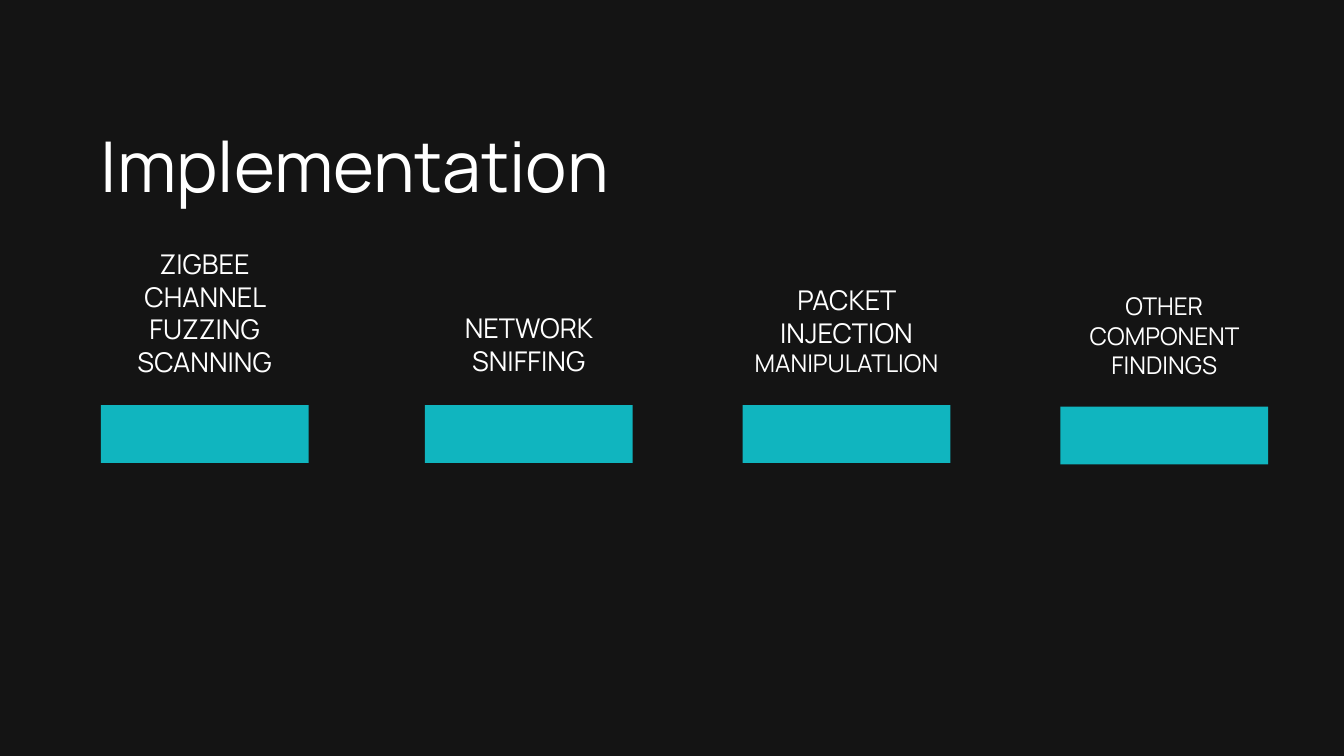
from dataclasses import dataclass

from pptx import Presentation
from pptx.dml.color import RGBColor
from pptx.enum.shapes import MSO_SHAPE
from pptx.enum.text import PP_ALIGN
from pptx.util import Pt


@dataclass(frozen=True)
class Theme:
    background: RGBColor = RGBColor(0x14, 0x14, 0x14)
    text: RGBColor = RGBColor(0xFF, 0xFF, 0xFF)
    accent: RGBColor = RGBColor(0x10, 0xB5, 0xBF)
    font: str = "Manrope"
    title_size: float = 75
    label_size: float = 29.1
    small_size: float = 26.1


THEME = Theme()
LINE_SPACING = {THEME.title_size: 90, THEME.label_size: 34.9, THEME.small_size: 31.3}

COLUMN_WIDTH = 222.6
BAR_HEIGHT = 61.8

# Each step: left, label top, label height, bar top, lines of (text, size)
STEPS = [
    (108, 265.1, 137.5, 434.1,
     [("ZIGBEE CHANNEL FUZZING", THEME.label_size), ("SCANNING", THEME.label_size)]),
    (455.2, 334.1, 68.4, 434.1, [("NETWORK SNIFFING", THEME.label_size)]),
    (795.7, 303.6, 99.4, 434.1,
     [("PACKET INJECTION", THEME.label_size), ("MANIPULATLION", THEME.small_size)]),
    (1136.2, 312.3, 92.2, 435.7, [("OTHER COMPONENT FINDINGS", THEME.small_size)]),
]


def add_text(shapes, lines, *, left, top, width, height, align=PP_ALIGN.LEFT):
    """Add a text box with one paragraph per (text, size) pair."""
    frame = shapes.add_textbox(Pt(left), Pt(top), Pt(width), Pt(height)).text_frame
    frame.word_wrap = True
    frame.margin_left = frame.margin_top = frame.margin_right = frame.margin_bottom = 0
    for index, (text, size) in enumerate(lines):
        paragraph = frame.add_paragraph() if index else frame.paragraphs[0]
        paragraph.alignment = align
        paragraph.line_spacing = Pt(LINE_SPACING[size])
        run = paragraph.add_run()
        run.text = text
        run.font.name = THEME.font
        run.font.size = Pt(size)
        run.font.color.rgb = THEME.text


def add_bar(shapes, left, top):
    shape = shapes.add_shape(
        MSO_SHAPE.RECTANGLE, Pt(left), Pt(top), Pt(COLUMN_WIDTH), Pt(BAR_HEIGHT))
    shape.shadow.inherit = False
    shape.fill.solid()
    shape.fill.fore_color.rgb = THEME.accent
    shape.line.fill.background()


def add_step(slide, left, label_top, label_height, bar_top, lines):
    """Group a centred label with the bar below it."""
    shapes = slide.shapes.add_group_shape().shapes
    add_text(shapes, lines, left=left, top=label_top, width=COLUMN_WIDTH,
             height=label_height, align=PP_ALIGN.CENTER)
    add_bar(shapes, left, bar_top)


def main():
    presentation = Presentation()
    presentation.slide_width = Pt(1440)
    presentation.slide_height = Pt(810)
    slide = presentation.slides.add_slide(presentation.slide_layouts[6])

    # Background
    slide.background.fill.solid()
    slide.background.fill.fore_color.rgb = THEME.background

    # Title
    add_text(slide.shapes, [("Implementation", THEME.title_size)],
             left=108, top=131, width=1223.3, height=90.7)

    # Implementation steps
    for step in STEPS:
        add_step(slide, *step)

    presentation.save("out.pptx")


if __name__ == "__main__":
    main()
